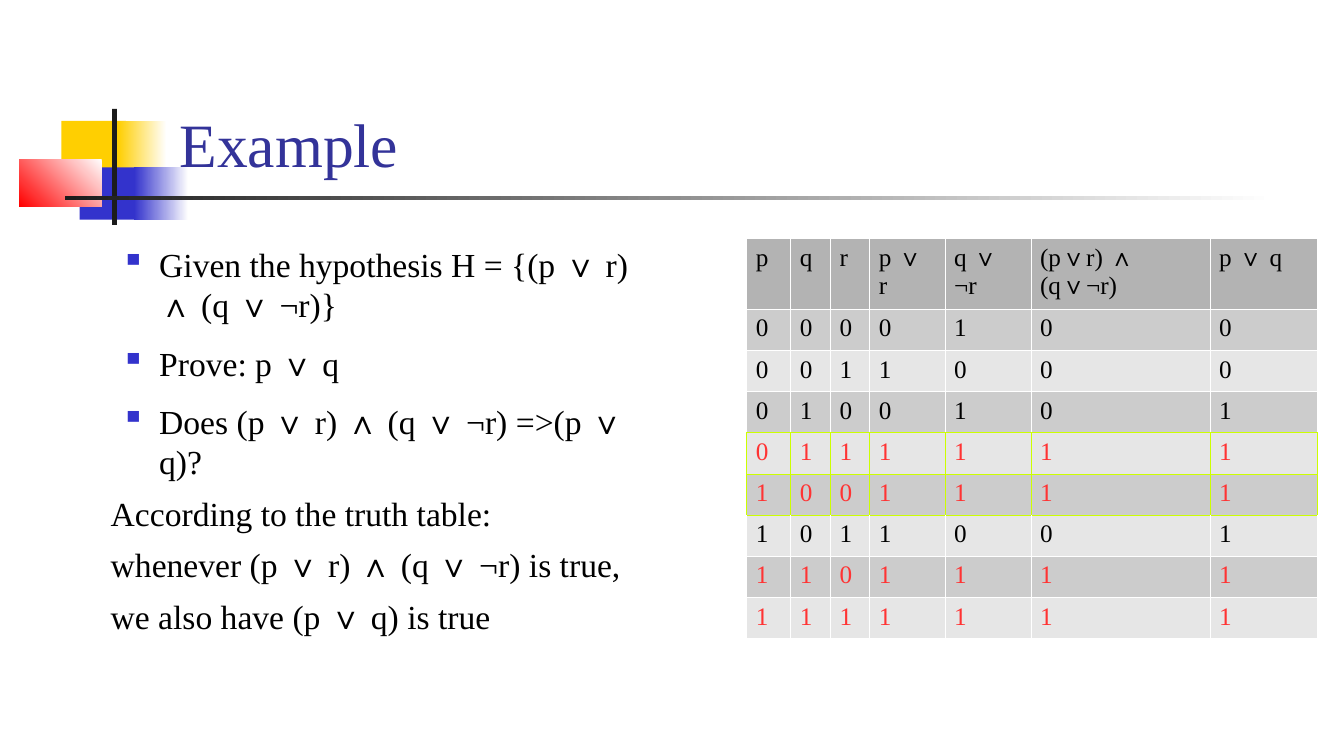
from itertools import product

from pptx import Presentation
from pptx.dml.color import RGBColor
from pptx.enum import shapes, text
from pptx.oxml import parse_xml
from pptx.oxml.ns import nsdecls
from pptx.util import Pt

FONT = "Times New Roman"
BLACK, WHITE, INK = "000000", "FFFFFF", "1C1C1C"
BLUE, YELLOW, RED = "3333CC", "FFCF01", "FF0000"
LIME, TRUE_RED = "CCFF00", "FF3333"
HEADINGS = ["p", "q", "r", "p ∨ r", "q ∨ ¬r", "(p∨r) ∧ (q∨¬r)", "p ∨ q"]
COLUMN_WIDTHS = [31.4, 28.4, 28, 53.8, 61.4, 128, 77]
CLAIMS = [
    ("Given the hypothesis H = {(p ∨ r) ∧ (q ∨ ¬r)}", 8),
    ("Prove: p ∨ q", 12.9),
    ("Does (p ∨ r) ∧ (q ∨ ¬r) =>(p ∨ q)?", 12.9),
]
CONCLUSION = [
    "According to the truth table:",
    "whenever (p ∨ r) ∧ (q ∨ ¬r) is true,",
    "we also have (p ∨ q) is true",
]


def color(value):
    return RGBColor.from_string(value)


def style(paragraph, size, value):
    for run in paragraph.runs:
        run.font.name = FONT
        run.font.size = Pt(size)
        run.font.color.rgb = color(value)


def add_block(slide, left, top, width, height, value, angle=None):
    block = slide.shapes.add_shape(
        shapes.MSO_SHAPE.RECTANGLE, Pt(left), Pt(top), Pt(width), Pt(height))
    block.shadow.inherit = False
    block.line.fill.background()
    if angle is None:
        block.fill.solid()
        block.fill.fore_color.rgb = color(value)
    else:
        block.fill.gradient()
        block.fill.gradient_angle = angle
        for stop, shade in zip(block.fill.gradient_stops, (WHITE, value)):
            stop.color.rgb = color(shade)


def add_emblem(slide, left, top):
    for x, y, width, height, value, angle in [
        (30.2, 8.6, 46, 37.4, YELLOW, None),
        (70.6, 8.6, 34.6, 37.4, YELLOW, 180),
        (43.2, 41.8, 44.6, 37.4, BLUE, None),
        (82.1, 41.8, 38.9, 37.4, BLUE, 180),
        (0, 36, 59, 33.8, RED, 225),
        (66.5, 0, 3.4, 82.8, INK, None),
        (33.1, 62.4, 864, 2.5, INK, 180),
    ]:
        add_block(slide, left + x, top + y, width, height, value, angle)


def place_title(slide, left, top, width, height):
    title = slide.shapes.title
    title.element.getparent().append(title.element)
    title.left, title.top = Pt(left), Pt(top)
    title.width, title.height = Pt(width), Pt(height)
    title.text_frame.text = "Example"
    title.text_frame.vertical_anchor = text.MSO_ANCHOR.BOTTOM
    heading = title.text_frame.paragraphs[0]
    heading.alignment = text.PP_ALIGN.LEFT
    style(heading, 44, "333399")


def add_bullet(paragraph):
    properties = paragraph._p.get_or_add_pPr()
    properties.set("marL", str(Pt(34.6)))
    properties.set("indent", str(Pt(-27.4)))
    properties.append(parse_xml(
        f'<a:buClr {nsdecls("a")}><a:srgbClr val="{BLUE}"/></a:buClr>'))
    properties.append(parse_xml(f'<a:buChar {nsdecls("a")} char="▪"/>'))


def add_argument(slide, left, top, width, height):
    argument = slide.shapes.add_textbox(
        Pt(left), Pt(top), Pt(width), Pt(height)).text_frame
    argument.word_wrap = True
    lines = CLAIMS + [(line, 8) for line in CONCLUSION]
    argument.text = "\n".join(line for line, _ in lines)
    for index, (paragraph, (_, gap)) in enumerate(zip(argument.paragraphs, lines)):
        paragraph.space_before = Pt(gap)
        style(paragraph, 24, BLACK)
        if index < len(CLAIMS):
            add_bullet(paragraph)


def set_borders(cell, top, bottom, sides):
    properties = cell._tc.get_or_add_tcPr()
    edges = [("lnL", sides), ("lnR", sides), ("lnT", top), ("lnB", bottom)]
    for position, (edge, value) in enumerate(edges):
        properties.insert(position, parse_xml(
            f'<a:{edge} {nsdecls("a")} w="{Pt(0.75)}"><a:solidFill>'
            f'<a:srgbClr val="{value}"/></a:solidFill></a:{edge}>'))


def truth_rows():
    for p, q, r in product((0, 1), repeat=3):
        left, right = p | r, q | (1 - r)
        yield [p, q, r, left, right, left & right, p | q]


def add_truth_table(slide, left, top, width, height):
    rows = [HEADINGS, *truth_rows()]
    table = slide.shapes.add_table(
        len(rows), len(HEADINGS), Pt(left), Pt(top), Pt(width), Pt(height)).table
    for column, column_width in zip(table.columns, COLUMN_WIDTHS):
        column.width = Pt(column_width)
    outlined = (4, 5)
    for y, values in enumerate(rows):
        table.rows[y].height = Pt(height / len(rows))
        shade = "B3B3B3" if y == 0 else "CCCCCC" if y % 2 else "E6E6E6"
        ink = TRUE_RED if values[5] == 1 else BLACK
        sides = LIME if y in outlined else WHITE
        above = LIME if y in outlined or y - 1 in outlined else WHITE
        below = LIME if y in outlined or y + 1 in outlined else WHITE
        for x, value in enumerate(values):
            cell = table.cell(y, x)
            cell.text_frame.text = str(value)
            cell.margin_left = cell.margin_right = Pt(6.5)
            cell.fill.solid()
            cell.fill.fore_color.rgb = color(shade)
            style(cell.text_frame.paragraphs[0], 18, ink)
            set_borders(cell, above, below, sides)


def main():
    deck = Presentation()
    deck.slide_width, deck.slide_height = Pt(960), Pt(540)
    slide = deck.slides.add_slide(deck.slide_layouts[5])
    add_emblem(slide, 13.7, 77.8)
    place_title(slide, 121, 16.6, 818, 115.2)
    add_argument(slide, 72, 170.6, 408, 327)
    add_truth_table(slide, 533.5, 170.6, 408, 264.6)
    deck.save("out.pptx")


if __name__ == "__main__":
    main()
